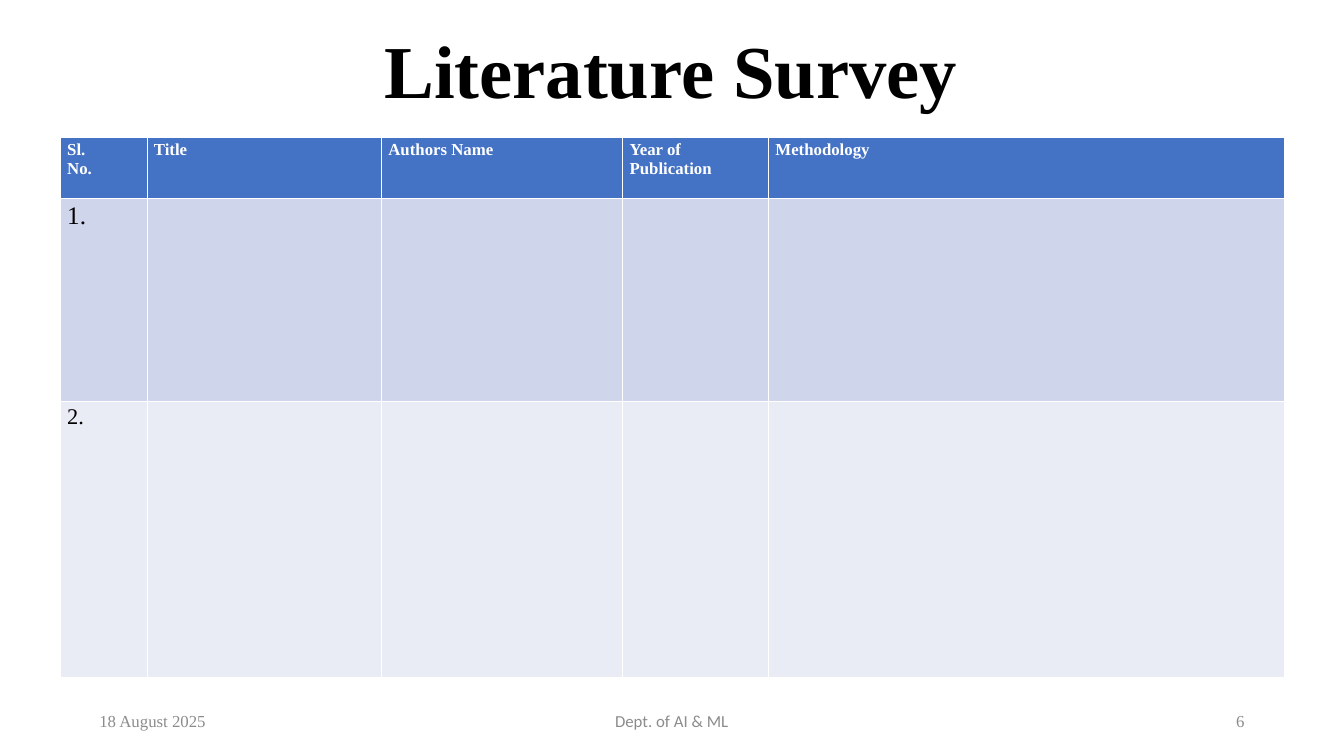
from pptx import Presentation
from pptx.dml.color import RGBColor
from pptx.enum import text
from pptx.util import Inches, Pt

COLORS = {"ink": "000000", "header": "4472C4", "header_text": "FFFFFF",
          "odd": "CFD5EA", "even": "E9EBF5", "footer": "8C8C8C"}
SERIF = "Times New Roman"
ALIGN = text.PP_ALIGN

HEADING = "Literature Survey"
COLUMNS = [("Sl.\nNo.", 1.29), ("Title", 3.49), ("Authors Name", 3.59),
           ("Year of\nPublication", 2.17), ("Methodology", 7.67)]
ROWS = [
    {"height": 0.91, "cells": [label for label, _ in COLUMNS], "fill": "header",
     "color": "header_text", "align": ALIGN.JUSTIFY, "font": {"size": Pt(18), "bold": True}},
    {"height": 3.02, "cells": ["1."], "fill": "odd",
     "color": "ink", "align": ALIGN.LEFT, "font": {"size": Pt(27), "bold": False}},
    {"height": 4.11, "cells": ["2."], "fill": "even",
     "color": "ink", "align": ALIGN.LEFT, "font": {"size": Pt(24), "bold": False}},
]
FOOTERS = [
    ("18 August 2025", 1.38, 4.5, ALIGN.LEFT, SERIF),
    ("Dept. of AI & ML", 6.62, 6.75, ALIGN.CENTER, "Calibri"),
    ("6", 14.12, 4.5, ALIGN.RIGHT, SERIF),
]


def apply(target, values):
    for key, value in values.items():
        setattr(target, key, value)


def box(left, top, width, height):
    return dict(zip(("left", "top", "width", "height"), map(Inches, (left, top, width, height))))


def write(frame, content, color, align, font):
    frame.text = content
    for paragraph in frame.paragraphs:
        paragraph.alignment = align
        for run in paragraph.runs:
            apply(run.font, {"name": SERIF, **font})
            run.font.color.rgb = RGBColor.from_string(COLORS[color])


def add_heading(slide):
    heading = slide.shapes.title
    apply(heading, box(5.72, -0.21, 8.56, 1.79))
    apply(heading.text_frame, {
        "margin_left": 0, "margin_right": 0, "margin_top": Inches(0.01), "margin_bottom": 0,
        "word_wrap": True, "auto_size": text.MSO_AUTO_SIZE.NONE,
        "vertical_anchor": text.MSO_ANCHOR.MIDDLE})
    write(heading.text_frame, HEADING, "ink", ALIGN.JUSTIFY, {"size": Pt(80), "bold": True})
    heading.text_frame.paragraphs[0].line_spacing = 1.5


def add_survey(slide):
    area = box(0.9, 2.04, sum(width for _, width in COLUMNS), sum(row["height"] for row in ROWS))
    survey = slide.shapes.add_table(len(ROWS), len(COLUMNS), **area).table
    for column, (_, width) in zip(survey.columns, COLUMNS):
        column.width = Inches(width)
    for line, row in zip(survey.rows, ROWS):
        line.height = Inches(row["height"])
        for cell in line.cells:
            cell.fill.solid()
            cell.fill.fore_color.rgb = RGBColor.from_string(COLORS[row["fill"]])
        for cell, content in zip(line.cells, row["cells"]):
            write(cell.text_frame, content, row["color"], row["align"], row["font"])


def add_footers(slide):
    for content, left, width, align, face in FOOTERS:
        frame = slide.shapes.add_textbox(**box(left, 10.43, width, 0.6)).text_frame
        apply(frame, {"word_wrap": True, "vertical_anchor": text.MSO_ANCHOR.MIDDLE})
        write(frame, content, "footer", align, {"name": face, "size": Pt(18)})


def main():
    deck = Presentation()
    apply(deck, {"slide_width": Inches(20), "slide_height": Inches(11.25)})
    slide = deck.slides.add_slide(deck.slide_layouts.get_by_name("Title Only"))
    add_heading(slide)
    add_survey(slide)
    add_footers(slide)
    deck.save("out.pptx")


if __name__ == "__main__":
    main()
